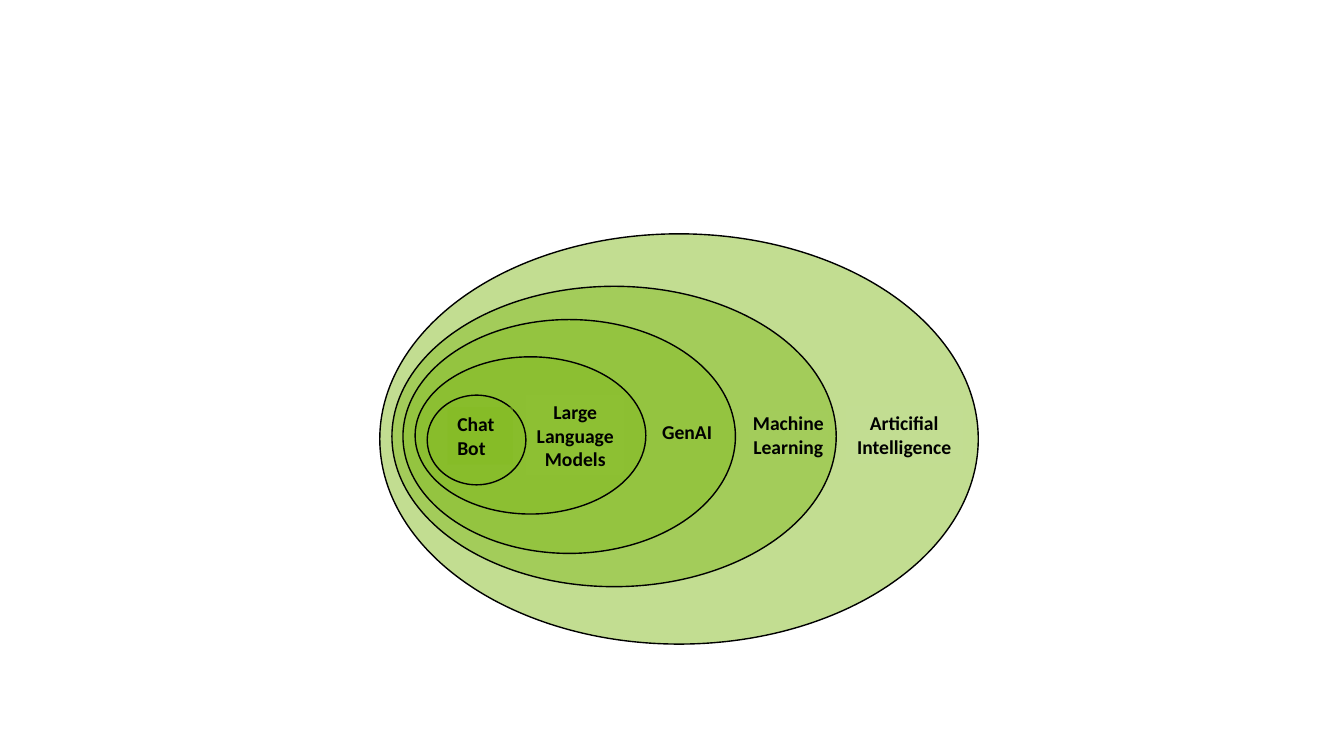
from dataclasses import dataclass

from lxml import etree
from pptx import Presentation
from pptx.dml.color import RGBColor
from pptx.enum.shapes import MSO_SHAPE
from pptx.enum.text import MSO_ANCHOR, MSO_AUTO_SIZE, PP_ALIGN
from pptx.oxml.ns import qn
from pptx.util import Inches, Pt

OVAL = MSO_SHAPE.OVAL
TOP = MSO_ANCHOR.TOP
GROW = MSO_AUTO_SIZE.SHAPE_TO_FIT_TEXT
LEFT, CENTER = PP_ALIGN.LEFT, PP_ALIGN.CENTER

GREEN, BLACK = "86BC25", "000000"
LABEL_FONT = {"name": "Calibri", "size": Pt(14), "bold": True}


@dataclass
class Ring:
    x: float
    y: float
    w: float
    h: float
    color: str = GREEN
    alpha: int = 50


@dataclass
class Label:
    text: str
    x: float
    y: float
    w: float
    h: float
    color: str
    alpha: int = 100
    align: PP_ALIGN = CENTER
    inset_x: float = 0.1
    inset_y: float = 0.05


# Nested fields, from back to front
ITEMS = [
    Ring(3.77, 2.32, 5.94, 4.07),
    Ring(3.89, 2.84, 4.41, 2.98),
    Ring(4, 3.17, 3.3, 2.32, "94C440", 100),
    Label("Articifial Intelligence", 8.39, 4.03, 1.17, 0.57, "C2DD92"),
    Label("Machine Learning", 7.43, 4.08, 0.79, 0.47, "A3CC5B",
          inset_x=0, inset_y=0),
    Ring(4.12, 3.54, 2.29, 1.56),
    Label("GenAI", 6.44, 4.12, 0.76, 0.34, "94C440"),
    Label("Large Language Models", 5.22, 3.92, 0.98, 0.8, "8DC033"),
    Ring(4.24, 3.92, 0.98, 0.89),
    Label("Chat Bot", 4.44, 4.04, 0.65, 0.57, GREEN, 50, LEFT),
]


def set_color(target, color: str, alpha: int = 100) -> None:
    """Apply a hex colour to a fill or font, with opacity in percent."""
    if hasattr(target, "solid"):
        target.solid()
        target.fore_color.rgb = RGBColor.from_string(color)
    else:
        target.color.rgb = RGBColor.from_string(color)
    if alpha < 100:
        clr = target.fore_color._xFill.find(qn("a:srgbClr"))
        etree.SubElement(clr, qn("a:alpha"), val=str(alpha * 1000))


def add_ring(shapes, ring: Ring) -> None:
    sp = shapes.add_shape(OVAL, *map(Inches, (ring.x, ring.y, ring.w, ring.h)))
    sp.shadow.inherit = False
    set_color(sp.fill, ring.color, ring.alpha)
    set_color(sp.line.fill, BLACK)
    sp.line.width = Pt(1)


def add_label(shapes, label: Label) -> None:
    sp = shapes.add_textbox(*map(Inches, (label.x, label.y, label.w, label.h)))
    set_color(sp.fill, label.color, label.alpha)
    tf = sp.text_frame
    frame = {
        "word_wrap": True, "auto_size": GROW, "vertical_anchor": TOP,
        "margin_left": Inches(label.inset_x),
        "margin_right": Inches(label.inset_x),
        "margin_top": Inches(label.inset_y),
        "margin_bottom": Inches(label.inset_y),
    }
    for name, value in frame.items():
        setattr(tf, name, value)
    p = tf.paragraphs[0]
    p.alignment = label.align
    r = p.add_run()
    r.text = label.text
    for name, value in LABEL_FONT.items():
        setattr(r.font, name, value)
    set_color(r.font, BLACK)


def main() -> None:
    prs = Presentation()
    prs.slide_width, prs.slide_height = Inches(13.34), Inches(7.5)
    slide = prs.slides.add_slide(prs.slide_layouts[6])

    # One group holds the whole diagram
    shapes = slide.shapes.add_group_shape().shapes
    for item in ITEMS:
        if isinstance(item, Ring):
            add_ring(shapes, item)
        else:
            add_label(shapes, item)

    prs.save("out.pptx")


if __name__ == "__main__":
    main()
